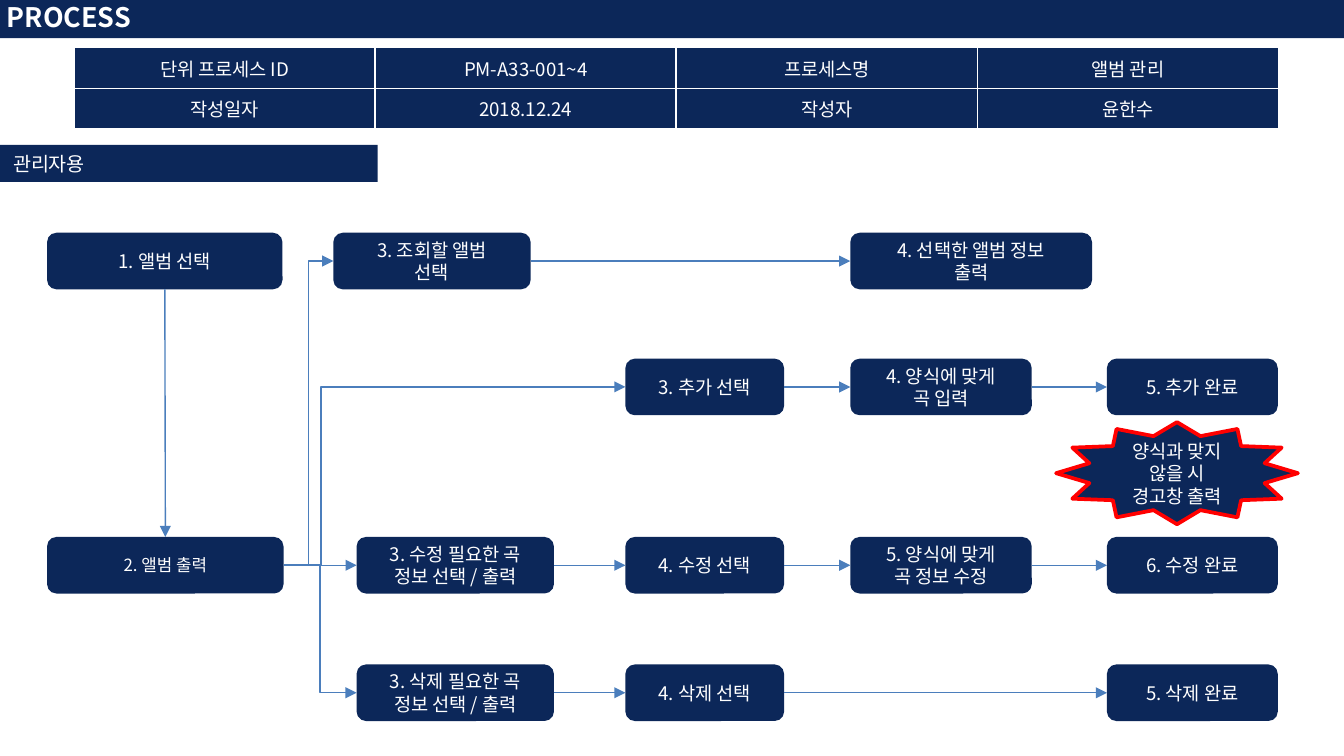
from dataclasses import dataclass

from pptx import Presentation
from pptx import util as u
from pptx.dml import color
from pptx.enum import shapes, text
from pptx.oxml import parse_xml, ns


@dataclass
class Theme:
    navy: color.RGBColor = color.RGBColor(0x0C, 0x27, 0x59)
    white: color.RGBColor = color.RGBColor(0xFF, 0xFF, 0xFF)
    red: color.RGBColor = color.RGBColor(0xFF, 0x00, 0x00)
    arrow: color.RGBColor = color.RGBColor(0x4B, 0x7E, 0xBC)
    font: str = "Noto Sans CJK KR"
    title: float = 14.4
    section: float = 10.5
    body: float = 10
    small: float = 9


theme = Theme()
center, left = text.PP_ALIGN.CENTER, text.PP_ALIGN.LEFT
middle, top = text.MSO_ANCHOR.MIDDLE, text.MSO_ANCHOR.TOP


def write(frame, content, size=theme.body, bold=False, align=center, anchor=middle):
    frame.text = content
    frame.vertical_anchor = anchor
    for para in frame.paragraphs:
        para.alignment = align
        for span in para.runs:
            span.font.size = u.Pt(size)
            span.font.bold = bold
            span.font.name = theme.font
            span.font.color.rgb = theme.white
            span.font._element.append(parse_xml(
                f'<a:ea {ns.nsdecls("a")} typeface="{theme.font}"/>'))


def add_block(kind, x, y, width, height, content, **style):
    box = page.shapes.add_shape(kind, u.Cm(x), u.Cm(y), u.Cm(width), u.Cm(height))
    box.shadow.inherit = False
    box.fill.solid()
    box.fill.fore_color.rgb = theme.navy
    box.line.fill.background()
    write(box.text_frame, content, **style)
    return box


deck = Presentation()
deck.slide_width, deck.slide_height = u.Cm(25.4), u.Cm(14.29)
page = deck.slides.add_slide(deck.slide_layouts[5])

title = page.shapes.title
title.left, title.top, title.width, title.height = u.Cm(-0.1), u.Cm(-0.1), u.Cm(25.5), u.Cm(0.82)
title.fill.solid()
title.fill.fore_color.rgb = theme.navy
write(title.text_frame, "PROCESS", size=theme.title, bold=True, align=left)
title.text_frame.auto_size = text.MSO_AUTO_SIZE.NONE
title.text_frame.margin_left = title.text_frame.margin_right = u.Cm(0.23)
title.text_frame.margin_top = title.text_frame.margin_bottom = u.Cm(0.1)

facts = [
    ["단위 프로세스 ID", "PM-A33-001~4", "프로세스명", "앨범 관리"],
    ["작성일자", "2018.12.24", "작성자", "윤한수"],
]
table = page.shapes.add_table(2, 4, u.Cm(1.4), u.Cm(0.9), u.Cm(22.76), u.Cm(1.54)).table
table.first_row = table.horz_banding = False
for row, values in enumerate(facts):
    for column, value in enumerate(values):
        cell = table.cell(row, column)
        for side in ("lnL", "lnR", "lnT", "lnB"):
            cell._tc.get_or_add_tcPr().append(parse_xml(
                f'<a:{side} {ns.nsdecls("a")} w="12700"><a:solidFill>'
                f'<a:srgbClr val="{theme.white}"/></a:solidFill></a:{side}>'))
        cell.fill.solid()
        cell.fill.fore_color.rgb = theme.navy
        write(cell.text_frame, value)
        cell.vertical_anchor = middle

section = add_block(shapes.MSO_SHAPE.RECTANGLE, 0, 2.74, 7.14, 0.7, "관리자용",
                    size=theme.section, align=left, anchor=top)

view, add, edit, delete = 4.4, 6.78, 10.15, 12.56
start, lookup, song, choice, form, done = 0.89, 6.3, 6.74, 11.82, 16.07, 20.92
steps = {
    "select": (start, view, 4.45, "1. 앨범 선택"),
    "list": (start, edit, 4.47, "2. 앨범 출력"),
    "view": (lookup, view, 3.73, "3. 조회할 앨범\n선택"),
    "info": (form, view, 4.57, "4. 선택한 앨범 정보\n출력"),
    "add": (choice, add, 3, "3. 추가 선택"),
    "add form": (form, add, 3.43, "4. 양식에 맞게\n곡 입력"),
    "added": (done, add, 3.23, "5. 추가 완료"),
    "edit song": (song, edit, 3.73, "3. 수정 필요한 곡\n정보 선택 / 출력"),
    "edit": (choice, edit, 3, "4. 수정 선택"),
    "edit form": (form, edit, 3.43, "5. 양식에 맞게\n곡 정보 수정"),
    "edited": (done, edit, 3.23, "6. 수정 완료"),
    "delete song": (song, delete, 3.73, "3. 삭제 필요한 곡\n정보 선택 / 출력"),
    "delete": (choice, delete, 3, "4. 삭제 선택"),
    "deleted": (done, delete, 3.23, "5. 삭제 완료"),
}
boxes = {}
for name, (x, y, width, label) in steps.items():
    boxes[name] = add_block(shapes.MSO_SHAPE.ROUNDED_RECTANGLE, x, y, width, 1.07, label,
                            size=theme.small if name == "list" else theme.body)

warning = add_block(shapes.MSO_SHAPE.STAR_12_POINT, 19.96, 7.98, 4.57, 1.93,
                    "양식과 맞지\v않을 시\v경고창 출력")
warning.line.color.rgb = theme.red
warning.line.width = u.Pt(2)
frame = warning.text_frame
frame.margin_left = frame.margin_right = frame.margin_top = frame.margin_bottom = 0

straight, elbow = shapes.MSO_CONNECTOR.STRAIGHT, shapes.MSO_CONNECTOR.ELBOW
TOP, LEFT, BOTTOM, RIGHT = range(4)
flows = [("select", "list", straight, BOTTOM, TOP, None),
         ("list", "view", elbow, RIGHT, LEFT, 50000),
         ("list", "delete song", elbow, RIGHT, LEFT, 50000),
         ("list", "add", elbow, RIGHT, LEFT, 10900)]
chains = [("view", "info"), ("add", "add form", "added"),
          ("list", "edit song", "edit", "edit form", "edited"),
          ("delete song", "delete", "deleted")]
for chain in chains:
    for source, target in zip(chain, chain[1:]):
        flows.append((source, target, straight, RIGHT, LEFT, None))

for source, target, kind, exit_side, entry_side, bend in flows:
    arrow = page.shapes.add_connector(kind, 0, 0, 0, 0)
    arrow.begin_connect(boxes[source], exit_side)
    arrow.end_connect(boxes[target], entry_side)
    arrow.line.color.rgb = theme.arrow
    arrow.line.width = u.Pt(0.75)
    arrow.line._get_or_add_ln().append(parse_xml(
        f'<a:tailEnd {ns.nsdecls("a")} type="triangle"/>'))
    properties = arrow._element.spPr
    properties.append(parse_xml(f'<a:effectLst {ns.nsdecls("a")}/>'))
    if bend:
        guides = properties.find(ns.qn("a:prstGeom")).get_or_add_avLst()
        guides.append(parse_xml(
            f'<a:gd {ns.nsdecls("a")} name="adj1" fmla="val {bend}"/>'))

deck.save("out.pptx")
